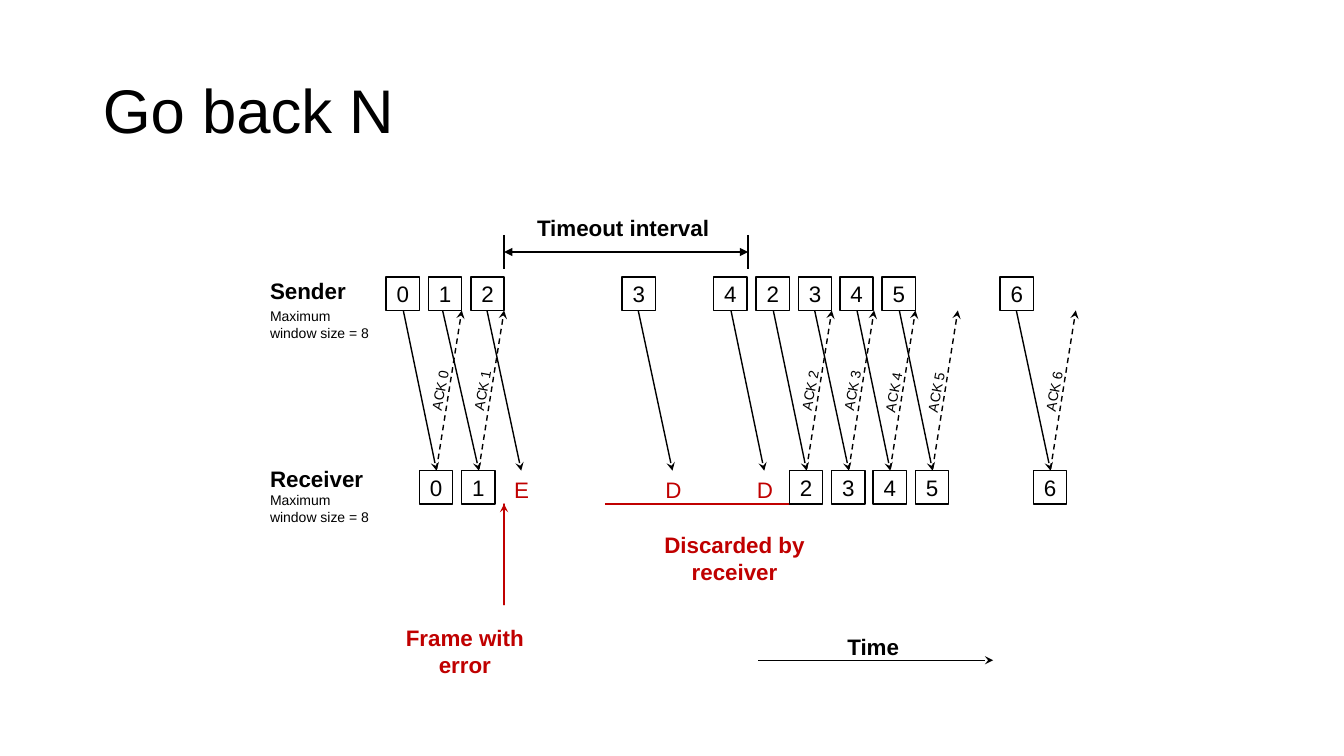
import pptx
import pptx.util
import pptx.dml.color
import pptx.enum.dml
import pptx.enum.shapes
import pptx.enum.text
import pptx.oxml.ns
import lxml.etree

Inches = pptx.util.Inches
Pt = pptx.util.Pt
RGBColor = pptx.dml.color.RGBColor
ALIGN = pptx.enum.text.PP_ALIGN
FIT = pptx.enum.text.MSO_AUTO_SIZE
MIDDLE = pptx.enum.text.MSO_ANCHOR.MIDDLE
SHAPE = pptx.enum.shapes.MSO_SHAPE
qn = pptx.oxml.ns.qn

BLACK = RGBColor(0x00, 0x00, 0x00)
WHITE = RGBColor(0xFF, 0xFF, 0xFF)
RED = RGBColor(0xC0, 0x00, 0x00)

SEND_Y, RECV_Y, SIDE = 2.75, 4.67, 0.33  # box rows and box size


def write(shape, lines, size, color=BLACK, bold=False, align=ALIGN.LEFT):
    """Fill a shape with one paragraph per line."""
    frame = shape.text_frame
    frame.word_wrap = False
    for i, line in enumerate(lines):
        para = frame.add_paragraph() if i else frame.paragraphs[0]
        para.alignment = align
        run = para.add_run()
        run.text = line
        run.font.name = "Arial"
        run.font.size = Pt(size)
        run.font.bold = bold
        run.font.color.rgb = color


def stroke(shape, color=BLACK, head=None, tail=None):
    """Draw a thin line without shadow, with optional arrowheads."""
    shape.line.color.rgb = color
    shape.line.width = Pt(1)
    props = shape.element.spPr
    line = props.find(qn("a:ln"))
    for tag, kind in (("a:headEnd", head), ("a:tailEnd", tail)):
        if kind:
            lxml.etree.SubElement(line, qn(tag), type=kind)
    lxml.etree.SubElement(props, qn("a:effectLst"))


deck = pptx.Presentation()
deck.slide_width = Inches(13.33)
deck.slide_height = Inches(7.5)
slide = deck.slides.add_slide(deck.slide_layouts[5])
shapes = slide.shapes

# Title
title = shapes.title
title.left, title.top = Inches(0.92), Inches(0.4)
title.width, title.height = Inches(11.5), Inches(1.45)
write(title, ["Go back N"], 44)
title.text_frame.word_wrap = True
title.text_frame.auto_size = FIT.NONE
title.text_frame.vertical_anchor = MIDDLE
title.text_frame.paragraphs[0].line_spacing = 0.9

# Frames: number, left of sent box, start of arrow, fate, top of ACK label
frames = [
    ("0", 3.83, 4.0, "ACK", 3.73),
    ("1", 4.25, 4.39, "ACK", 3.73),
    ("2", 4.67, 4.83, "E", None),
    ("3", 6.17, 6.33, "D", None),
    ("4", 7.08, 7.25, "D", None),
    ("2", 7.5, 7.67, "ACK", 3.73),
    ("3", 7.92, 8.08, "ACK", 3.73),
    ("4", 8.33, 8.5, "ACK", 3.75),
    ("5", 8.75, 8.92, "ACK", 3.75),
    ("6", 9.92, 10.08, "ACK", 3.74),
]

# Gather lines (start, end, dashed, head, tail), boxes and labels
rules = [
    (5, 2.5, 7.42, 2.5, False, "triangle", "triangle"),
    (5, 2.33, 5, 2.67, False, None, None),
    (7.42, 2.33, 7.42, 2.67, False, None, None),
    (7.52, 6.55, 9.85, 6.55, False, None, "stealth"),
]
boxes = []
# Label: left, top, width, height, lines, size, colour, bold, align, turn
labels = [
    (6.48, 5.22, 1.61, 0.64, ["Discarded by", "receiver"], 16, RED, True, ALIGN.CENTER, 0),
    (3.92, 6.14, 1.38, 0.64, ["Frame with", "error"], 16, RED, True, ALIGN.CENTER, 0),
    (5.22, 2.08, 1.92, 0.37, ["Timeout interval"], 16, BLACK, True, ALIGN.CENTER, 0),
    (8.3, 6.23, 0.72, 0.37, ["Time"], 16, BLACK, True, ALIGN.CENTER, 0),
    (2.58, 2.7, 0.95, 0.37, ["Sender"], 16, BLACK, True, ALIGN.LEFT, 0),
    (2.58, 4.57, 1.13, 0.37, ["Receiver"], 16, BLACK, True, ALIGN.LEFT, 0),
]
for top in (3, 4.83):
    labels.append((2.58, top, 1.18, 0.43, ["Maximum", "window size = 8"],
                   10, BLACK, False, ALIGN.LEFT, 0))

for num, left, start, fate, top in frames:
    boxes.append((num, left, SEND_Y))
    rules.append((start, 3.08, left + 0.5, RECV_Y, False, None, "stealth"))
    if fate == "ACK":
        boxes.append((num, left + 0.33, RECV_Y))
        rules.append((left + 0.5, 4.65, left + 0.75, 3.08, True, None, "stealth"))
        labels.append((left + 0.23, top, 0.61, 0.27, ["ACK " + num],
                       10, BLACK, False, ALIGN.LEFT, 280.6))
    else:
        labels.append((left + 0.33, RECV_Y, 0.36, 0.37, [fate],
                       16, RED, False, ALIGN.LEFT, 0))

# Lines and arrows
for x1, y1, x2, y2, dashed, head, tail in rules:
    rule = shapes.add_connector(pptx.enum.shapes.MSO_CONNECTOR.STRAIGHT,
                                Inches(x1), Inches(y1), Inches(x2), Inches(y2))
    if dashed:
        rule.line.dash_style = pptx.enum.dml.MSO_LINE.DASH
    stroke(rule, BLACK, head, tail)

# Brace under the discarded frames and bolt to the bad frame
brace = [(6.5, 4.95), (6.61, 5.09), (7.01, 5.09), (7.09, 5.19),
         (7.18, 5.09), (7.62, 5.09), (7.73, 4.95)]
bolt = [(4.67, 6.08), (4.9, 5.35), (4.96, 5.53), (5.14, 5)]
for points, tail in ((brace, None), (bolt, "stealth")):
    pen = shapes.build_freeform(*points[0], scale=Inches(1))
    pen.add_line_segments(points[1:], close=False)
    mark = pen.convert_to_shape()
    mark.fill.background()
    stroke(mark, RED, None, tail)

# Numbered boxes
for num, left, top in boxes:
    box = shapes.add_shape(SHAPE.RECTANGLE, Inches(left), Inches(top),
                           Inches(SIDE), Inches(SIDE))
    box.fill.solid()
    box.fill.fore_color.rgb = WHITE
    stroke(box)
    write(box, [num], 16, align=ALIGN.CENTER)
    box.text_frame.vertical_anchor = MIDDLE

# Labels
for left, top, width, height, lines, size, color, bold, align, turn in labels:
    label = shapes.add_textbox(Inches(left), Inches(top), Inches(width), Inches(height))
    write(label, lines, size, color, bold, align)
    label.text_frame.auto_size = FIT.SHAPE_TO_FIT_TEXT
    label.rotation = turn

deck.save("out.pptx")
